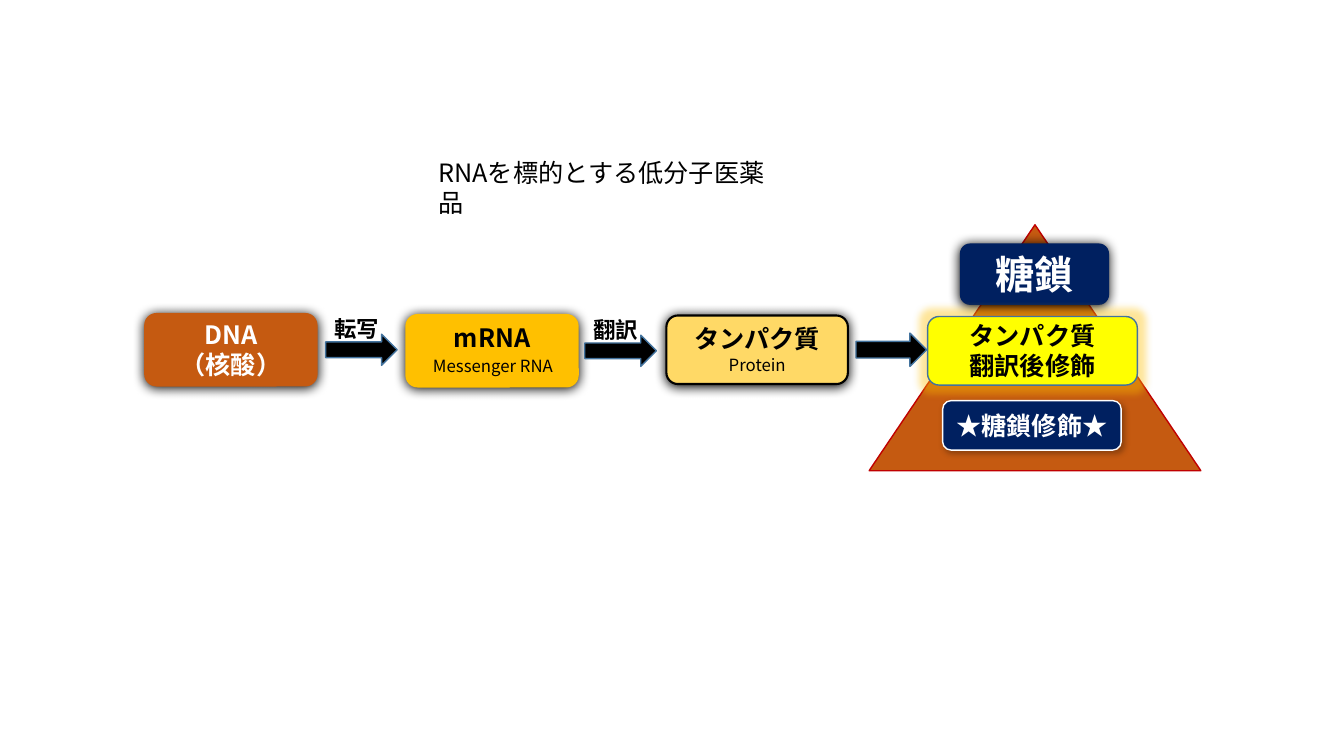
"""Build a slide on the flow from DNA to glycan-modified protein."""
from lxml import etree
from pptx import Presentation
from pptx.dml.color import RGBColor
from pptx.enum.shapes import MSO_SHAPE
from pptx.enum.text import MSO_ANCHOR, PP_ALIGN
from pptx.oxml.ns import qn
from pptx.util import Inches, Pt

TRIANGLE, BOX, ARROW = MSO_SHAPE.ISOSCELES_TRIANGLE, MSO_SHAPE.ROUNDED_RECTANGLE, MSO_SHAPE.RIGHT_ARROW
TOP, MIDDLE = MSO_ANCHOR.TOP, MSO_ANCHOR.MIDDLE
LEFT, CENTER = PP_ALIGN.LEFT, PP_ALIGN.CENTER
FONT = "Noto Sans CJK JP"
C = {"white": "FFFFFF", "black": "000000", "rust": "C55A11", "red": "C00000",
     "navy": "002060", "sand": "FFD966", "yellow": "FFFF00", "amber": "FFC000",
     "steel": "43739E"}
SOFT, DEEP = (30, 4.5, 2.6, 53), (100, 8.5, 1, 90)
X0, COL, MID = 1.43, 2.59, 3.47


def add_text(sp, text, size=18, color="black", bold=True, align=CENTER, anchor=MIDDLE):
    """Write the lines of text into a shape with one format."""
    tf = sp.text_frame
    tf.word_wrap = True
    tf.vertical_anchor = anchor
    for i, line in enumerate(text.split("\n")):
        p = tf.paragraphs[0] if i == 0 else tf.add_paragraph()
        p.alignment = align
        r = p.add_run()
        r.text = line
        r.font.size, r.font.bold, r.font.name = Pt(size), bold, FONT
        r.font.color.rgb = RGBColor.from_string(C[color])
        etree.SubElement(r.font._element, qn("a:ea"), typeface=FONT)


def add_effect(sp, tag, color, alpha, **attrs):
    """Give a shape one shadow or glow, with alpha in percent."""
    effects = sp._element.spPr.find(qn("a:effectLst"))
    effect = etree.SubElement(effects, qn(tag), {k: str(v) for k, v in attrs.items()})
    clr = etree.SubElement(effect, qn("a:srgbClr"), val=C[color])
    etree.SubElement(clr, qn("a:alpha"), val=str(alpha * 1000))


prs = Presentation()
prs.slide_width, prs.slide_height = Inches(13.33), Inches(7.5)
s = prs.slides.add_slide(prs.slide_layouts[6])

shapes = [
    (TRIANGLE, 8.62, 3.45, 3.29, 2.44, "rust", "red", 1, None, None),
    (BOX, X0, MID, 1.72, 0.73, "rust", None, 0, DEEP, ("DNA\n（核酸）", 18, "white", MIDDLE)),
    (BOX, 9.35, 4.22, 1.77, 0.49, "navy", "white", 1, SOFT, ("★糖鎖修飾★", 18, "white", MIDDLE)),
    (BOX, 9.52, 2.72, 1.48, 0.61, "navy", None, 0, DEEP, ("糖鎖", 28, "white", MIDDLE)),
    (BOX, X0 + 2 * COL, MID, 1.8, 0.68, "sand", "black", 1.5, DEEP, ("タンパク質", 18, "black", TOP)),
    (BOX, X0 + 3 * COL, 3.48, 2.08, 0.68, "yellow", "steel", 1, None,
     ("タンパク質\n翻訳後修飾", 18, "black", MIDDLE)),
    (BOX, X0 + COL, 3.48, 1.72, 0.73, "amber", None, 0, DEEP, ("mRNA", 18, "black", TOP)),
    (ARROW, 3.23, MID, 0.71, 0.31, "black", "steel", 1, None, None),
    (ARROW, 5.8, 3.48, 0.71, 0.31, "black", "steel", 1, None, None),
    (ARROW, 8.49, MID, 0.7, 0.33, "black", "steel", 1, None, None),
]
for kind, x, mid, w, h, fill, line, width, shadow, label in shapes:
    sp = s.shapes.add_shape(kind, Inches(x), Inches(mid - h / 2), Inches(w), Inches(h))
    sp.shadow.inherit = False
    sp.fill.solid()
    sp.fill.fore_color.rgb = RGBColor.from_string(C[fill])
    if line:
        sp.line.color.rgb = RGBColor.from_string(C[line])
        sp.line.width = Pt(width)
    else:
        sp.line.fill.background()
    if shadow:
        alpha, blur, dist, angle = shadow
        add_effect(sp, "a:outerShdw", "black", alpha, blurRad=Pt(blur), dist=Pt(dist),
                   dir=angle * 60000, algn="ctr", rotWithShape=0)
    if fill == "yellow":
        add_effect(sp, "a:glow", "amber", 40, rad=Pt(11))
    if label:
        text, size, color, anchor = label
        add_text(sp, text, size=size, color=color, anchor=anchor)

captions = [
    ("Messenger RNA", 4.05, 3.48, 1.68, 0.3, 12, False, CENTER),
    ("Protein", 6.67, 3.47, 1.68, 0.3, 12, False, CENTER),
    ("転写", 3.18, 3.08, 0.71, 0.37, 16, True, CENTER),
    ("翻訳", 5.75, 3.09, 0.71, 0.37, 16, True, CENTER),
    ("RNAを標的とする低分子医薬品", 4.25, 1.51, 3.51, 0.4, 18, False, LEFT),
]
for text, x, y, w, h, size, bold, align in captions:
    sp = s.shapes.add_textbox(Inches(x), Inches(y), Inches(w), Inches(h))
    add_text(sp, text, size=size, bold=bold, align=align, anchor=TOP)

prs.save("out.pptx")
